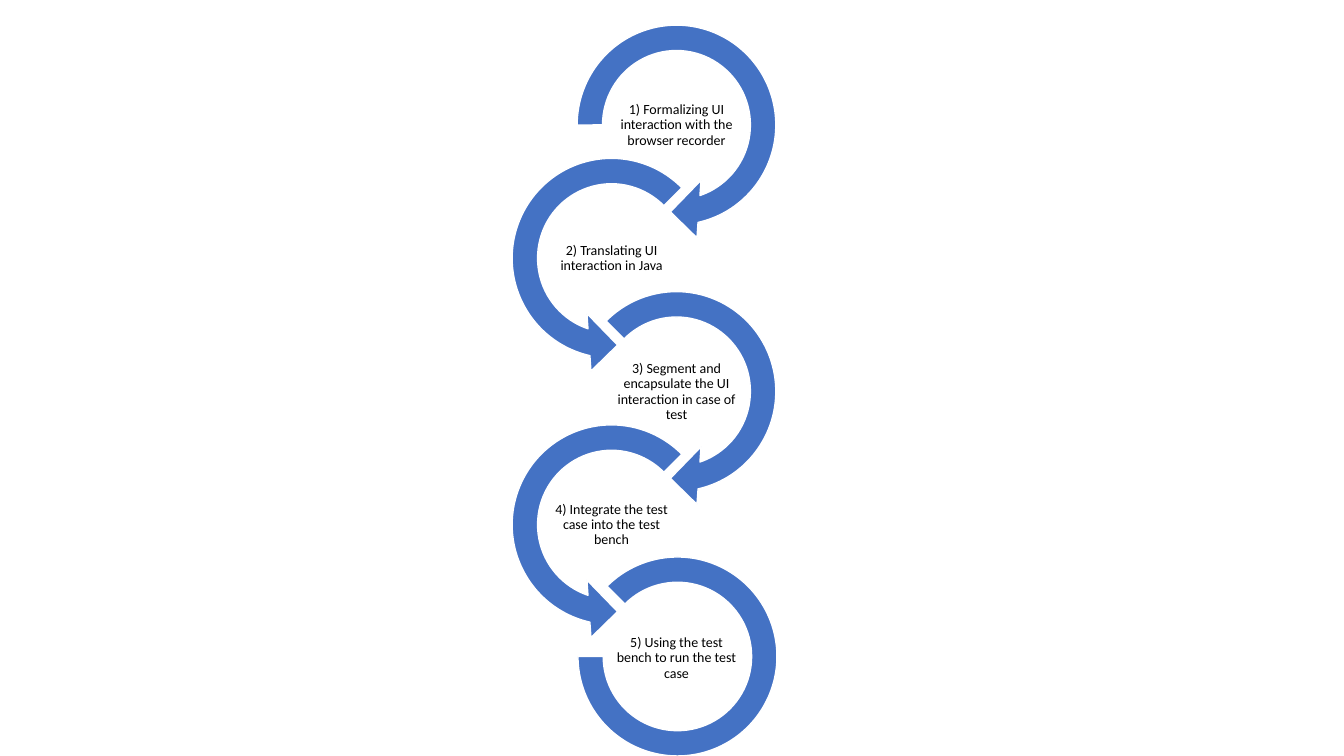
from pptx import Presentation
from pptx.util import Emu, Pt
from pptx.dml.color import RGBColor
from pptx.enum.shapes import MSO_SHAPE
from pptx.enum.text import PP_ALIGN, MSO_ANCHOR

SCALE = 914400 / 100.8  # EMU per pixel
BLUE, WHITE, BLACK = "4472C4", "FFFFFF", "000000"

# Kind of arc: shape, box within the step, adjustments
FIRST = (MSO_SHAPE.CIRCULAR_ARROW, (0, 0, 231, 232), (0.11, 11.42, 45, 108, 0.125))
LEFT = (MSO_SHAPE.LEFT_CIRCULAR_ARROW, (0, 0, 231, 232), (0.11, 11.42, 63, 189, 0.125))
RIGHT = (MSO_SHAPE.CIRCULAR_ARROW, (0, 0, 231, 232), (0.11, 11.42, 45, 135, 0.125))
LAST = (MSO_SHAPE.BLOCK_ARC, (17, 15, 199, 199), (135, 108, 0.127))

STEPS = [
    (FIRST, "1) Formalizing UI interaction with the browser recorder"),
    (LEFT, "2) Translating UI interaction in Java"),
    (RIGHT, "3) Segment and encapsulate the UI interaction in case of test"),
    (LEFT, "4) Integrate the test case into the test bench"),
    (LAST, "5) Using the test bench to run the test case"),
]


def px(n):
    return Emu(round(n * SCALE))


def color(code):
    return RGBColor.from_string(code)


def place(x, y, box):
    left, top, width, height = box
    return px(x + left), px(y + top), px(width), px(height)


def add_arc(group, x, y, kind):
    form, box, adjust = kind
    arc = group.shapes.add_shape(form, *place(x, y, box))
    for i, value in enumerate(adjust):
        arc.adjustments[i] = value
    arc.shadow.inherit = False
    arc.fill.solid()
    arc.fill.fore_color.rgb = color(BLUE)
    arc.line.color.rgb = color(WHITE)
    arc.line.width = Pt(1)


def add_label(group, x, y, text):
    label = group.shapes.add_textbox(*place(x, y, (51, 84, 129, 65)))
    frame = label.text_frame
    frame.text = text
    frame.word_wrap = True
    frame.vertical_anchor = MSO_ANCHOR.MIDDLE
    frame.margin_left = frame.margin_right = px(1)
    frame.margin_top = frame.margin_bottom = px(1)
    para = frame.paragraphs[0]
    para.alignment = PP_ALIGN.CENTER
    para.line_spacing = 0.9
    para.space_after = Pt(3.5)
    font = para.runs[0].font
    font.name, font.size = "Calibri", Pt(10)
    font.color.rgb = color(BLACK)


def add_chain(slide, x, y, width, height):
    """Steps zigzag between the right and left edge of the box."""
    group = slide.shapes.add_group_shape()
    wide, high = 231, 232
    pitch = (height - high) / (len(STEPS) - 1)
    for i, (kind, text) in enumerate(STEPS):
        left = x if i % 2 else x + width - wide
        top = y + i * pitch
        add_arc(group, left, top, kind)
        add_label(group, left, top, text)


deck = Presentation()
deck.slide_width, deck.slide_height = px(1344), px(756)
slide = deck.slides.add_slide(deck.slide_layouts[6])
add_chain(slide, 496, 9, 296, 765)
deck.save("out.pptx")
